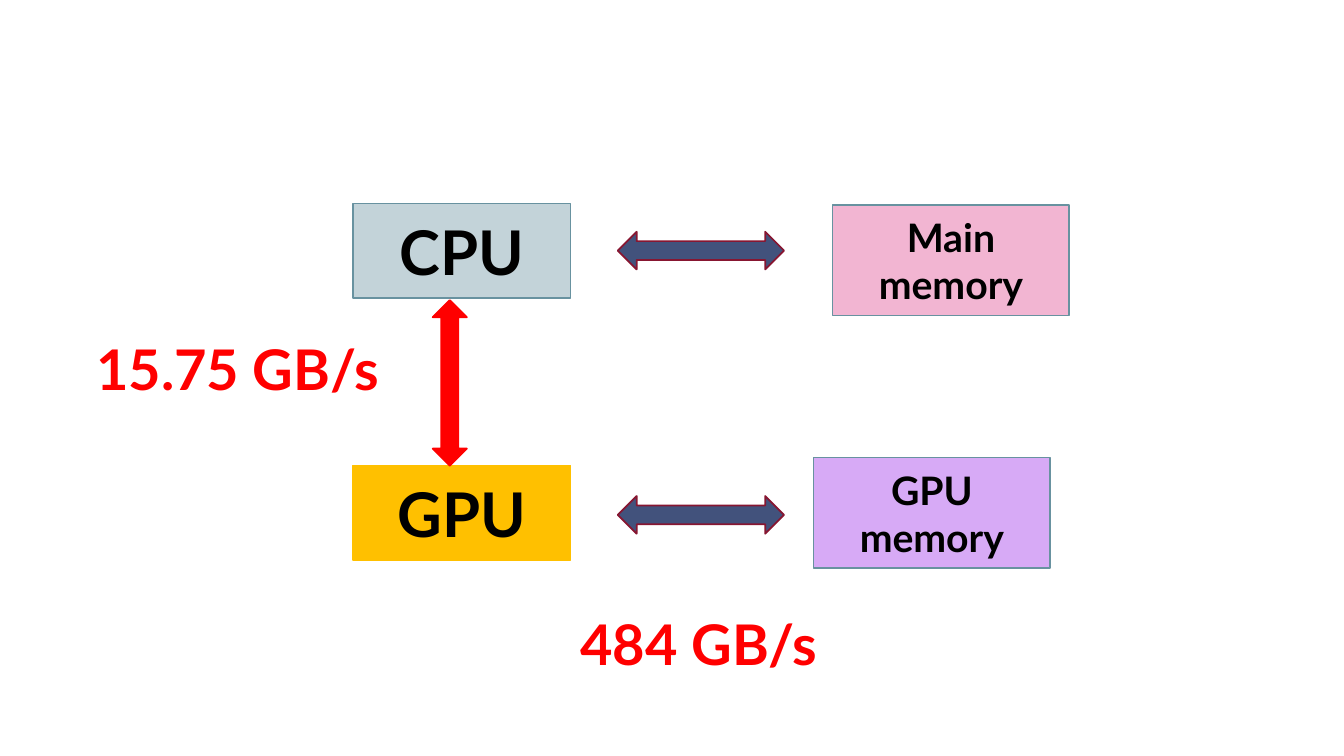
import pptx
import pptx.util
import pptx.dml.color
import pptx.enum.shapes
import pptx.enum.text

Cm = pptx.util.Cm
Pt = pptx.util.Pt
KIND = pptx.enum.shapes.MSO_SHAPE
ALIGN = pptx.enum.text.PP_ALIGN
ANCHOR = pptx.enum.text.MSO_ANCHOR
FIT = pptx.enum.text.MSO_AUTO_SIZE

COLORS = {
    "black": "000000",
    "red": "FF0000",
    "gray": "C3D3D9",
    "gold": "FFC000",
    "pink": "F2B5D2",
    "violet": "D7AAF6",
    "teal": "6892A0",
    "navy": "42527C",
    "wine": "871631",
}


def color(name):
    return pptx.dml.color.RGBColor.from_string(COLORS[name])


def write(frame, text, size, ink="black", align=ALIGN.LEFT, anchor=ANCHOR.TOP):
    frame.word_wrap = True
    frame.vertical_anchor = anchor
    para = frame.paragraphs[0]
    para.alignment = align
    run = para.add_run()
    run.text = text
    run.font.name = "Lato"
    run.font.size = Pt(size)
    run.font.bold = True
    run.font.color.rgb = color(ink)


def shape(slide, kind, area, fill, line):
    item = slide.shapes.add_shape(kind, *map(Cm, area))
    item.shadow.inherit = False
    item.fill.solid()
    item.fill.fore_color.rgb = color(fill)
    item.line.color.rgb = color(line)
    item.line.width = Pt(1.25)
    return item


def box(slide, text, area, size, fill, line="teal"):
    item = shape(slide, KIND.RECTANGLE, area, fill, line)
    write(item.text_frame, text, size, align=ALIGN.CENTER, anchor=ANCHOR.MIDDLE)


def arrow(slide, area, fill="navy", line="wine", turn=0):
    item = shape(slide, KIND.LEFT_RIGHT_ARROW, area, fill, line)
    item.rotation = turn


def label(slide, text, area):
    frame = slide.shapes.add_textbox(*map(Cm, area)).text_frame
    write(frame, text, 40, ink="red")
    frame.auto_size = FIT.SHAPE_TO_FIT_TEXT


def main():
    deck = pptx.Presentation()
    deck.slide_width, deck.slide_height = Cm(33.87), Cm(19.05)
    slide = deck.slides.add_slide(deck.slide_layouts[6])

    box(slide, "CPU", (8.89, 5.13, 5.49, 2.39), 44, "gray")
    box(slide, "GPU", (8.89, 11.73, 5.49, 2.39), 44, "gold", "gold")
    box(slide, "Main memory", (20.98, 5.16, 5.97, 2.79), 28, "pink")
    box(slide, "GPU memory", (20.5, 11.53, 5.97, 2.79), 28, "violet")

    for top in (5.84, 12.5):
        arrow(slide, (15.57, top, 4.19, 0.95))
    arrow(slide, (9.25, 9.22, 4.17, 0.86), "red", "red", turn=90)

    label(slide, "15.75 GB/s", (2.18, 8.31, 8.71, 1.96))
    label(slide, "484 GB/s", (14.38, 15.24, 8.18, 1.96))

    deck.save("out.pptx")


if __name__ == "__main__":
    main()
